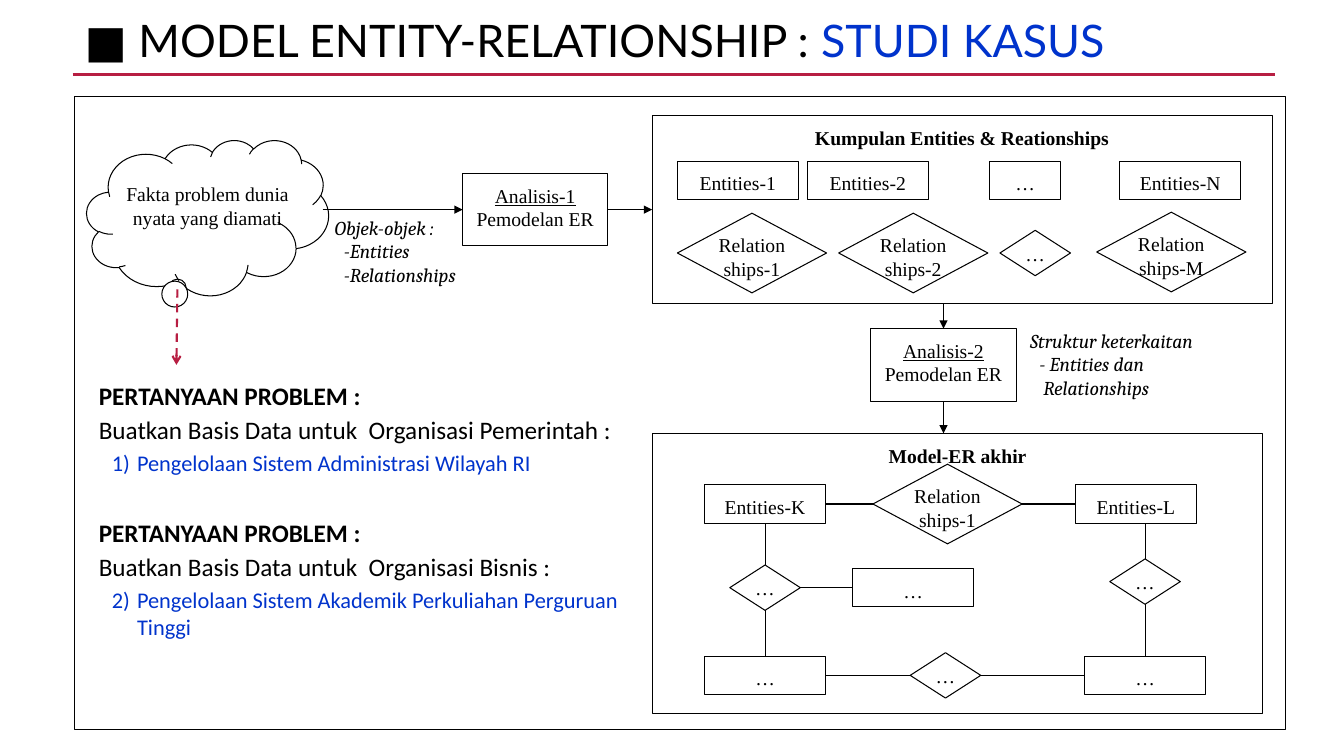
import pptx
import pptx.util
import pptx.dml.color
import pptx.enum.dml
import pptx.enum.shapes
import pptx.enum.text
import pptx.oxml
import pptx.oxml.ns

COLORS = {"black": "000000", "white": "FFFFFF", "blue": "0033CC", "red": "B71E42"}

STYLES = {
    "title": ({"name": "Lato", "size": 32}, "black"),
    "topic": ({"name": "Lato", "size": 32}, "blue"),
    "node": ({"name": "Times New Roman", "size": 14}, "black"),
    "heading": ({"name": "Times New Roman", "size": 14, "bold": True}, "black"),
    "step": ({"name": "Times New Roman", "size": 14, "underline": True}, "black"),
    "remark": ({"name": "Cambria", "size": 14, "italic": True}, "black"),
    "question": ({"name": "Calibri", "size": 18, "bold": True}, "black"),
    "task": ({"name": "Calibri", "size": 18}, "black"),
    "case": ({"name": "Calibri", "size": 16}, "blue"),
}

TITLE = [("title", "■ MODEL ENTITY-RELATIONSHIP : "), ("topic", "STUDI KASUS")]

QUESTIONS = [
    (37.2, 10.9, "Buatkan Basis Data untuk  Organisasi Pemerintah :",
     "Pengelolaan Sistem Administrasi Wilayah RI"),
    (50.8, 13.3, "Buatkan Basis Data untuk  Organisasi Bisnis :",
     "Pengelolaan Sistem Akademik Perkuliahan Perguruan Tinggi"),
]

PANELS = {
    "frame": ((7.4, 9.6, 120.1, 62.8), []),
    "collection": ((64.7, 11.5, 61.5, 18.6), [("heading", "Kumpulan Entities & Reationships")]),
    "model": ((64.7, 43, 60.6, 27.8), [("heading", "Model-ER akhir")]),
    "analysis 1": ((45.9, 17.2, 14.4, 7.2), [("step", "Analisis-1"), ("node", "Pemodelan ER")]),
    "analysis 2": ((86.4, 32.6, 14.4, 7.2), [("step", "Analisis-2"), ("node", "Pemodelan ER")]),
}

CLOUD = (8.6, 13.9, 24, 15.4)

REMARKS = [
    ((11, 18.1, 19.2, 9), "center", [("node", "Fakta problem dunia nyata yang diamati", 0)]),
    ((33.2, 21.4, 15.2, 7.5), "left",
     [("remark", "Objek-objek :", 0), ("remark", "-Entities", 0.9), ("remark", "-Relationships", 0.9)]),
    ((102.2, 32.6, 21.3, 7.5), "left",
     [("remark", "Struktur keterkaitan", 0), ("remark", "- Entities dan", 0.9),
      ("remark", "Relationships", 1.3)]),
]

KINDS = {
    "entity": ("RECTANGLE", 12, 3.8, 1),
    "more": ("RECTANGLE", 7, 3.8, 1),
    "relation": ("DIAMOND", 14.8, 7.9, 0),
    "tie": ("DIAMOND", 7, 4.5, 0),
}

NODES = [
    ("entity 1", "entity", 73.2, 17.9, ["Entities-1"]),
    ("entity 2", "entity", 86.1, 17.9, ["Entities-2"]),
    ("entity more", "more", 101.7, 17.9, ["…"]),
    ("entity N", "entity", 117.1, 17.9, ["Entities-N"]),
    ("relation 1", "relation", 74.6, 25.1, ["Relation", "ships-1"]),
    ("relation 2", "relation", 90.6, 25.1, ["Relation", "ships-2"]),
    ("relation more", "tie", 102.7, 25.1, ["…"]),
    ("relation M", "relation", 116.2, 25, ["Relation", "ships-M"]),
    ("K", "entity", 75.9, 50, ["Entities-K"]),
    ("K-L", "relation", 94, 50, ["Relation", "ships-1"]),
    ("L", "entity", 112.7, 50, ["Entities-L"]),
    ("left tie", "tie", 75.9, 58.3, ["…"]),
    ("middle", "entity", 90.6, 58.3, ["…"]),
    ("right tie", "tie", 113.6, 57.7, ["…"]),
    ("lower left", "entity", 75.9, 67, ["…"]),
    ("lower tie", "tie", 93.8, 67, ["…"]),
    ("lower right", "entity", 113.6, 67, ["…"]),
]

TOP, LEFT, BOTTOM, RIGHT = range(4)
THIN = ("black", 0.75, None, None)
ARROW = ("black", 0.75, "triangle", None)
LINKS = [
    ((7.2, 7.4), (126.5, 7.4), ("red", 2.5, None, None)),
    ((32, 20.8), ("analysis 1", LEFT), ARROW),
    (("analysis 1", RIGHT), ("collection", LEFT), ARROW),
    ((93.6, 30.1), ("analysis 2", TOP), ARROW),
    (("analysis 2", BOTTOM), (93.6, 43), ARROW),
    (("K", RIGHT), ("K-L", LEFT), THIN),
    (("K-L", RIGHT), ("L", LEFT), THIN),
    (("K", BOTTOM), ("left tie", TOP), THIN),
    (("left tie", RIGHT), ("middle", LEFT), THIN),
    (("left tie", BOTTOM), ("lower left", TOP), THIN),
    (("lower left", RIGHT), ("lower tie", LEFT), THIN),
    (("lower tie", RIGHT), ("lower right", LEFT), THIN),
    ((113.6, 51.9), ("right tie", TOP), THIN),
    (("right tie", BOTTOM), ("lower right", TOP), THIN),
    ((17.6, 28.7), (17.5, 36.2), ("red", 1.5, "arrow", "DASH")),
]

CELL = pptx.util.Inches(0.1)


def grid(*cells):
    return [round(cell * CELL) for cell in cells]


def color(name):
    return pptx.dml.color.RGBColor.from_string(COLORS[name])


def add_span(para, style, text):
    span = para.add_run()
    span.text = text
    values, tint = STYLES[style]
    for key, value in values.items():
        setattr(span.font, key, pptx.util.Pt(value) if key == "size" else value)
    span.font.color.rgb = color(tint)


def write(box, lines, align="left", inset=(0, 0, 0, 0), after=0):
    frame = box.text_frame
    sides = ("margin_left", "margin_top", "margin_right", "margin_bottom")
    values = dict(zip(sides, grid(*inset)))
    values.update(word_wrap=True, auto_size=pptx.enum.text.MSO_AUTO_SIZE.NONE,
                  vertical_anchor=pptx.enum.text.MSO_ANCHOR.TOP)
    for key, value in values.items():
        setattr(frame, key, value)
    for index, (spans, indent, hanging, number) in enumerate(lines):
        para = frame.paragraphs[0] if index == 0 else frame.add_paragraph()
        para.alignment = getattr(pptx.enum.text.PP_ALIGN, align.upper())
        para.space_before, para.space_after = pptx.util.Pt(0), pptx.util.Pt(after)
        properties = para._p.get_or_add_pPr()
        for key, value in zip(("marL", "indent"), grid(indent, -hanging)):
            properties.set(key, str(value))
        bullet = pptx.oxml.parse_xml(
            f'<a:{"buAutoNum" if number else "buNone"} {pptx.oxml.ns.nsdecls("a")}/>')
        if number:
            bullet.set("type", "arabicParenR")
            bullet.set("startAt", str(number))
        properties.append(bullet)
        for style, text in spans:
            add_span(para, style, text)


def place(box, area):
    box.left, box.top, box.width, box.height = grid(*area)


def add_outline(page, preset, area, filled=True):
    shape = page.shapes.add_shape(getattr(pptx.enum.shapes.MSO_SHAPE, preset), *grid(*area))
    shape.shadow.inherit = False
    if filled:
        shape.fill.solid()
        shape.fill.fore_color.rgb = color("white")
    else:
        shape.fill.background()
    shape.line.color.rgb = color("black")
    shape.line.width = pptx.util.Pt(0.75)
    return shape


def add_link(page, shapes, start, end, look):
    tint, width, tip, dash = look
    points = [(0, 0) if isinstance(side[0], str) else side for side in (start, end)]
    link = page.shapes.add_connector(pptx.enum.shapes.MSO_CONNECTOR.STRAIGHT,
                                     *grid(*points[0], *points[1]))
    for side, join in ((start, link.begin_connect), (end, link.end_connect)):
        if isinstance(side[0], str):
            join(shapes[side[0]], side[1])
    link.line.color.rgb = color(tint)
    link.line.width = pptx.util.Pt(width)
    if dash:
        link.line.dash_style = getattr(pptx.enum.dml.MSO_LINE, dash)
    names = pptx.oxml.ns.nsdecls("a")
    if tip:
        link.line._get_or_add_ln().append(pptx.oxml.parse_xml(f'<a:tailEnd {names} type="{tip}"/>'))
    link._element.spPr.append(pptx.oxml.parse_xml(f"<a:effectLst {names}/>"))


def main():
    deck = pptx.Presentation()
    deck.slide_width, deck.slide_height = grid(133.33, 75)
    page = deck.slides.add_slide(deck.slide_layouts[3])
    title, *bodies = page.placeholders

    place(title, (7.4, 1.4, 123, 5.4))
    write(title, [(TITLE, 0, 0, None)], inset=(1, 0.5, 1, 0.5))
    title.text_frame.paragraphs[0].line_spacing = 0.9

    for number, (body, (top, height, task, case)) in enumerate(zip(bodies, QUESTIONS), 1):
        place(body, (8.8, top, 54.7, height))
        lines = [([("question", "PERTANYAAN PROBLEM :")], 0, 0, None),
                 ([("task", task)], 0, 0, None),
                 ([("case", case)], 3.8, 2.5, number)]
        write(body, lines, inset=(1, 0.5, 1, 0.5), after=3)

    shapes = {}
    for name, (area, lines) in PANELS.items():
        shapes[name] = add_outline(page, "RECTANGLE", area, filled=name != "frame")
        if lines:
            write(shapes[name], [([line], 0, 0, None) for line in lines], "center", (0, 1, 0, 0))

    cloud = add_outline(page, "CLOUD_CALLOUT", CLOUD)
    cloud.adjustments[0], cloud.adjustments[1] = -0.127, 0.461

    for area, align, lines in REMARKS:
        box = page.shapes.add_textbox(*grid(*area))
        write(box, [([(style, text)], indent, 0, None) for style, text, indent in lines], align)

    for name, kind, center, middle, words in NODES:
        preset, width, height, gap = KINDS[kind]
        area = (center - width / 2, middle - height / 2, width, height)
        shapes[name] = add_outline(page, preset, area)
        write(shapes[name], [([("node", word)], 0, 0, None) for word in words],
              "center", (0, gap, 0, 0))

    for start, end, look in LINKS:
        add_link(page, shapes, start, end, look)

    deck.save("out.pptx")


if __name__ == "__main__":
    main()
